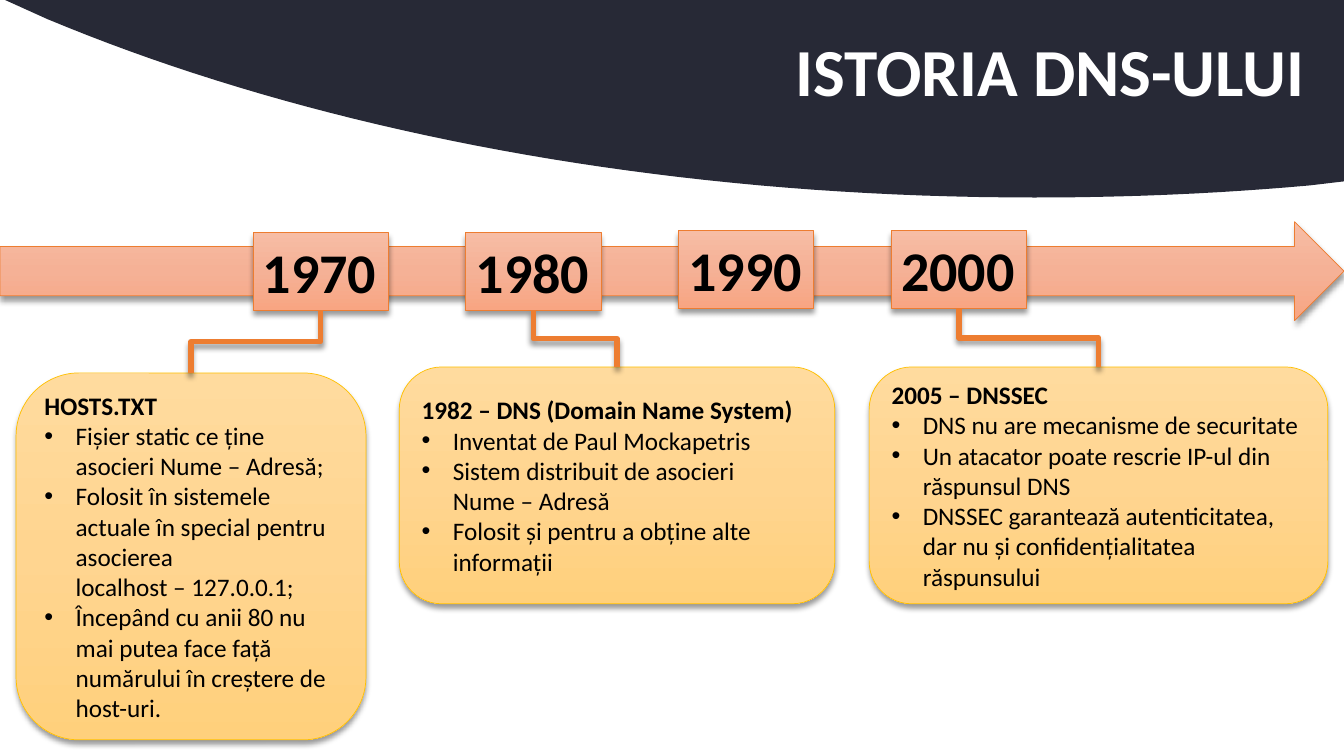
from copy import deepcopy
from dataclasses import dataclass

from lxml import etree
from pptx import Presentation
from pptx.dml.color import RGBColor
from pptx.enum.shapes import MSO_CONNECTOR, MSO_SHAPE
from pptx.enum.text import MSO_ANCHOR, MSO_AUTO_SIZE, PP_ALIGN
from pptx.oxml import parse_xml
from pptx.oxml.ns import nsdecls, qn
from pptx.util import Inches, Pt

RECT = MSO_SHAPE.RECTANGLE
ROUND = MSO_SHAPE.ROUNDED_RECTANGLE
ARROW = MSO_SHAPE.RIGHT_ARROW
ELBOW = MSO_CONNECTOR.ELBOW
LEFT, RIGHT = PP_ALIGN.LEFT, PP_ALIGN.RIGHT
TOP, MIDDLE = MSO_ANCHOR.TOP, MSO_ANCHOR.MIDDLE
GROW, FIXED = MSO_AUTO_SIZE.SHAPE_TO_FIT_TEXT, MSO_AUTO_SIZE.NONE


@dataclass(frozen=True)
class Theme:
    font: str = "Calibri"
    dark: str = "272936"
    white: str = "FFFFFF"
    black: str = "000000"
    orange: str = "ED7D31"
    gold: str = "FFC000"
    peach: tuple = ("F7BDA5", "F5B196", "F8A582")
    sand: tuple = ("FFDB9E", "FFD590", "FFD07C")
    title: int = 48
    year: int = 40
    body: int = 18


def curve(a, b, c, d, steps=40):
    for i in range(1, steps + 1):
        t = i / steps
        u = 1 - t
        yield tuple(u**3 * p + 3 * u * u * t * q + 3 * u * t * t * r + t**3 * s
                    for p, q, r, s in zip(a, b, c, d))


class Deck:
    def __init__(self, theme):
        self.theme = theme
        self.prs = Presentation()
        self.prs.slide_width = Inches(13.33)
        self.prs.slide_height = Inches(7.5)
        self.slide = self.prs.slides.add_slide(self.prs.slide_layouts[5])
        self.shapes = self.slide.shapes

    def style(self, para, size, color, bold):
        for run in para.runs:
            font = run.font
            font.name = self.theme.font
            font.size = Pt(size)
            font.bold = bold
            font.color.rgb = RGBColor.from_string(color)

    def shade(self, shape):
        shape._element.spPr.append(parse_xml(
            f'<a:effectLst {nsdecls("a")}>'
            f'<a:outerShdw blurRad="{Pt(4)}" dist="{Pt(3)}" dir="5400000" rotWithShape="0">'
            f'<a:srgbClr val="{self.theme.black}"><a:alpha val="40000"/></a:srgbClr>'
            '</a:outerShdw></a:effectLst>'))

    def wave(self, points):
        x, y = points[0]
        form = self.shapes.build_freeform(Inches(x), Inches(y), scale=1.0)
        form.add_line_segments([(Inches(x), Inches(y)) for x, y in points[1:]], close=True)
        shape = form.convert_to_shape()
        shape.shadow.inherit = False
        shape.fill.solid()
        shape.fill.fore_color.rgb = RGBColor.from_string(self.theme.dark)
        shape.line.fill.background()
        tree = self.shapes._spTree
        tree.remove(shape._element)
        tree.insert(2, shape._element)

    def title(self, text, box):
        shape = self.shapes.title
        shape.left, shape.top, shape.width, shape.height = map(Inches, box)
        frame = shape.text_frame
        frame.text = text
        frame.auto_size = FIXED
        frame.vertical_anchor = MIDDLE
        frame.margin_right = Inches(0.4)
        para = frame.paragraphs[0]
        para.alignment = RIGHT
        para.line_spacing = 0.9
        self.style(para, self.theme.title, self.theme.white, True)

    def block(self, kind, box, tones, edge):
        shape = self.shapes.add_shape(kind, *map(Inches, box))
        fill = shape.fill
        fill.gradient()
        fill.gradient_angle = 270
        stops = shape._element.spPr.find(".//" + qn("a:gsLst"))
        stops.insert(1, deepcopy(stops[0]))
        for i, (stop, tone) in enumerate(zip(fill.gradient_stops, tones)):
            stop.position = i / 2
            stop.color.rgb = RGBColor.from_string(tone)
        shape.line.color.rgb = RGBColor.from_string(edge)
        shape.line.width = Pt(0.5)
        self.shade(shape)
        return shape

    def year(self, text, box):
        frame = self.block(RECT, box, self.theme.peach, self.theme.orange).text_frame
        frame.text = text
        frame.word_wrap = False
        frame.auto_size = GROW
        frame.vertical_anchor = TOP
        para = frame.paragraphs[0]
        para.alignment = LEFT
        self.style(para, self.theme.year, self.theme.black, True)

    def card(self, head, items, box):
        shape = self.block(ROUND, box, self.theme.sand, self.theme.gold)
        shape.adjustments[0] = 0.18
        frame = shape.text_frame
        frame.word_wrap = True
        frame.vertical_anchor = MIDDLE
        frame.text = head
        for item in items:
            para = frame.add_paragraph()
            para.text = item
            props = para._p.get_or_add_pPr()
            props.set("marL", str(Inches(0.31)))
            props.set("indent", str(Inches(-0.31)))
            etree.SubElement(props, qn("a:buFont")).set("typeface", "Arial")
            etree.SubElement(props, qn("a:buChar")).set("char", "•")
        for i, para in enumerate(frame.paragraphs):
            para.alignment = LEFT
            self.style(para, self.theme.body, self.theme.black, i == 0)

    def elbow(self, x1, y1, x2, y2):
        mid, level = (x1 + x2) / 2, (y1 + y2) / 2
        half, rise = (y2 - y1) / 2, (x1 - x2) / 2
        line = self.shapes.add_connector(
            ELBOW, Inches(mid - half), Inches(level - rise),
            Inches(mid + half), Inches(level + rise))
        line._element.spPr.find(qn("a:xfrm")).set("rot", "5400000")
        line.line.color.rgb = RGBColor.from_string(self.theme.orange)
        line.line.width = Pt(4)
        self.shade(line)


YEARS = [("1970", 2.31), ("1980", 2.31), ("1990", 2.29), ("2000", 2.29)]
CARDS = [
    (0, "HOSTS.TXT", [
        "Fișier static ce ține asocieri Nume – Adresă;",
        "Folosit în sistemele actuale în special pentru asocierea\nlocalhost – 127.0.0.1;",
        "Începând cu anii 80 nu mai putea face față numărului în creștere de host-uri.",
    ], (0.16, 3.7, 3.47, 3.64)),
    (1, "1982 – DNS (Domain Name System)", [
        "Inventat de Paul Mockapetris",
        "Sistem distribuit de asocieri\nNume – Adresă",
        "Folosit și pentru a obține alte informații",
    ], (3.96, 3.64, 4.32, 2.35)),
    (3, "2005 – DNSSEC", [
        "DNS nu are mecanisme de securitate",
        "Un atacator poate rescrie IP-ul din răspunsul DNS",
        "DNSSEC garantează autenticitatea, dar nu și confidențialitatea răspunsului",
    ], (8.62, 3.64, 4.55, 2.35)),
]
FIRST, STEP, WIDE, HIGH = 2.51, 2.11, 1.34, 0.77


def main():
    theme = Theme()
    deck = Deck(theme)
    deck.wave([
        (0.05, 0), (13.33, 0), (13.33, 1.8), (12.99, 1.84),
        *curve((12.99, 1.84), (12.1, 1.92), (11.19, 1.96), (10.26, 1.96)),
        *curve((10.26, 1.96), (6.54, 1.96), (3.13, 1.3), (0.47, 0.19)),
    ])
    deck.title("ISTORIA DNS-ULUI", (0.92, 0.02, 12.42, 1.45))
    deck.block(ARROW, (0, 2.2, 13.33, 0.98), theme.peach, theme.orange)
    for i, (text, top) in enumerate(YEARS):
        deck.year(text, (FIRST + i * STEP, top, WIDE, HIGH))
    for i, head, items, box in CARDS:
        deck.card(head, items, box)
        deck.elbow(FIRST + i * STEP + WIDE / 2, YEARS[i][1] + HIGH,
                   box[0] + box[2] / 2, box[1])
    deck.prs.save("out.pptx")


if __name__ == "__main__":
    main()
